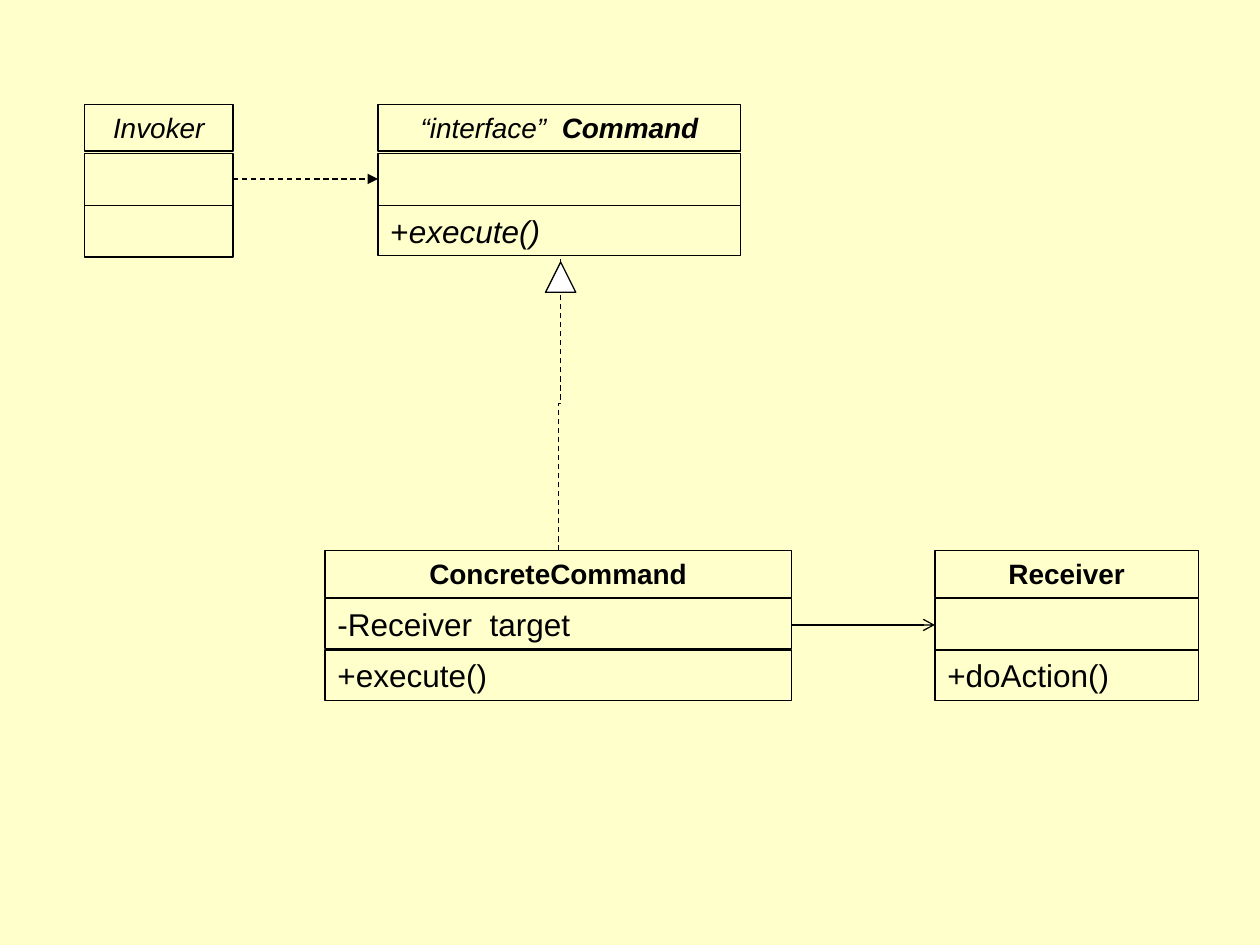
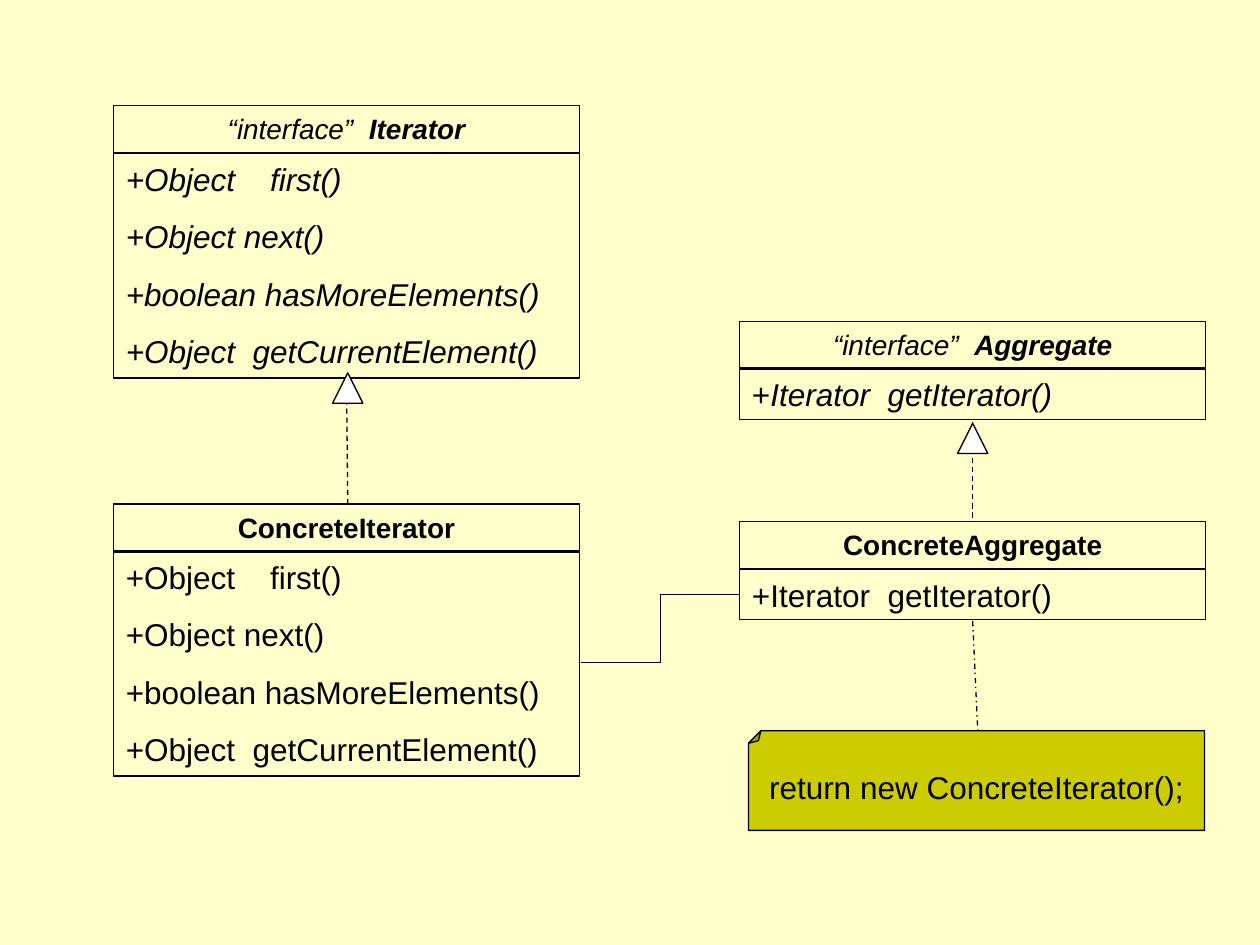
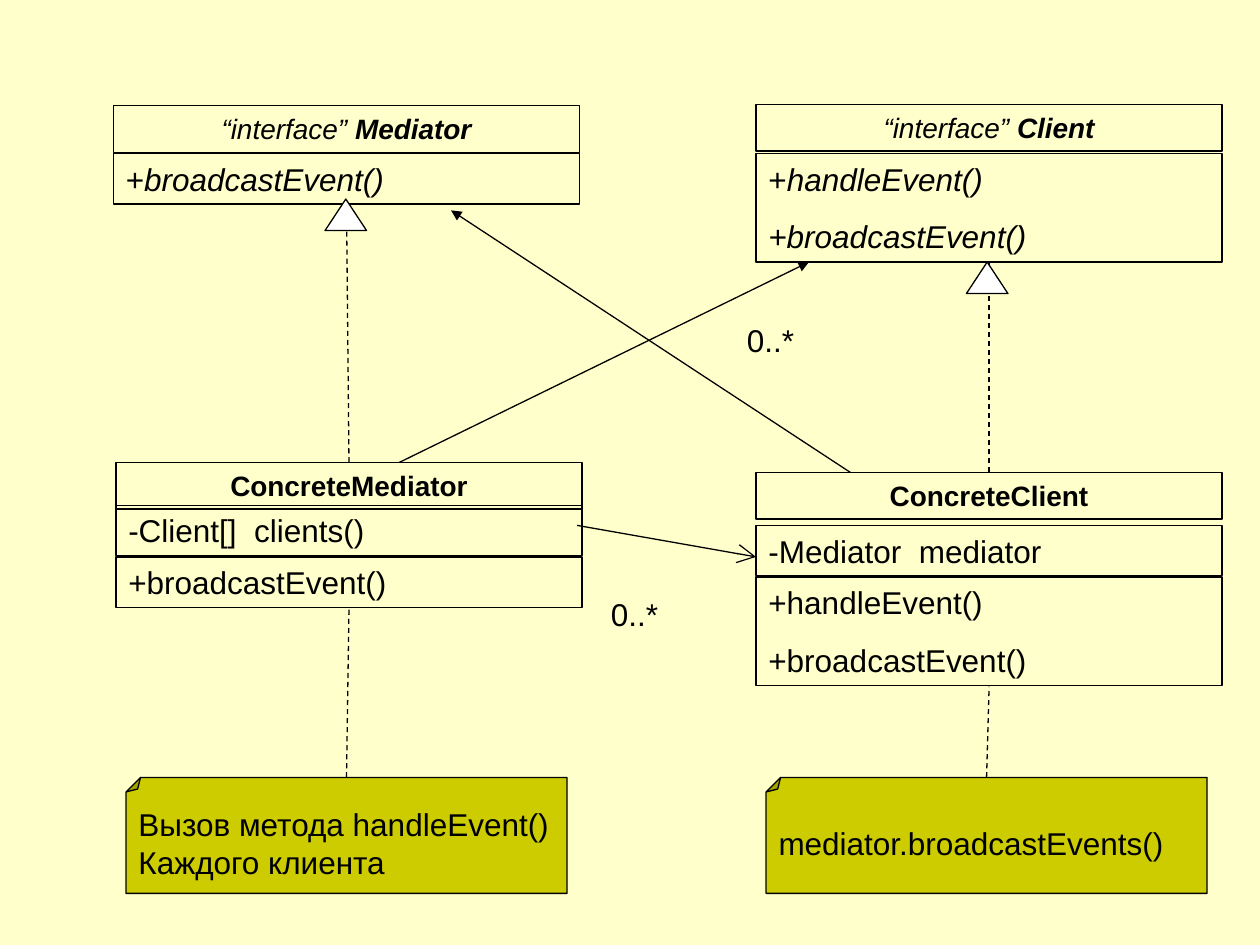
from lxml.etree import SubElement
from pptx import Presentation
from pptx.dml.color import RGBColor
from pptx.enum.dml import MSO_LINE
from pptx.enum.shapes import MSO_CONNECTOR, MSO_SHAPE
from pptx.enum.text import MSO_ANCHOR, PP_ALIGN
from pptx.oxml.ns import qn
from pptx.util import Inches, Pt

COLORS = {"page": "FFFFCC", "ink": "000000", "note": "CCCC00", "head": "FFFFFF"}
FONT = "Arial"
TITLE, BODY = 16, 18
WIDE = 3.7
TITLE_H, ROW_H, LINE_H, STEP = 0.37, 0.4, 0.46, 0.41
METHODS = ["Object    first()", "Object next()",
           "boolean hasMoreElements()", "Object  getCurrentElement()"]


def paint(name):
    return RGBColor.from_string(COLORS[name])


def ink(line):
    line.color.rgb = paint("ink")
    line.width = Pt(0.75)


def write(shape, rows, size=BODY, align=PP_ALIGN.LEFT, gap=11.2):
    """Fill a shape with rows; each row lists (text, style) with style from 'b', 'i'."""
    frame = shape.text_frame
    frame.word_wrap = True
    frame.vertical_anchor = MSO_ANCHOR.TOP
    for index, row in enumerate(rows):
        par = frame.add_paragraph() if index else frame.paragraphs[0]
        par.alignment = align
        if index:
            par.space_before = Pt(gap)
        font = par.font
        font.name, font.size, font.color.rgb = FONT, Pt(size), paint("ink")
        for text, style in row:
            run = par.add_run()
            run.text = text
            target = font if len(row) == 1 else run.font
            target.bold = "b" in style
            target.italic = "i" in style
    return frame


def plain(*lines, style=""):
    return [[(line, style)] for line in lines]


def virtual(line):
    """A row with an upright plus sign and an italic signature."""
    return [("+", ""), (line, "i")]


def face(name, gap="  "):
    return [(f"“interface”{gap}", "i"), (name, "bi")]


def block(slide, kind, left, top, width, height, fill=None):
    shape = slide.shapes.add_shape(kind, Inches(left), Inches(top),
                                   Inches(width), Inches(height))
    shape.shadow.inherit = False
    if fill:
        shape.fill.solid()
        shape.fill.fore_color.rgb = paint(fill)
    else:
        shape.fill.background()
    ink(shape.line)
    return shape


def entity(slide, left, top, width, title, *parts, drop=0.38):
    """Class box: a title, then one cell per part, the first one drop below the top."""
    rect = MSO_SHAPE.RECTANGLE
    write(block(slide, rect, left, top, width, TITLE_H), [title], TITLE, PP_ALIGN.CENTER)
    for index, rows in enumerate(parts):
        height = ROW_H + LINE_H * (len(rows) - 1) if rows else STEP
        cell = block(slide, rect, left, top + drop + STEP * index, width, height)
        if rows:
            write(cell, rows)


def note(slide, left, top, width, height, *lines, align=PP_ALIGN.LEFT):
    """Note with its folded corner at the top left and upright text."""
    shape = block(slide, MSO_SHAPE.FOLDED_CORNER, left, top, width, height, "note")
    fold = shape.element.spPr.find(qn("a:prstGeom")).get_or_add_avLst()
    SubElement(fold, qn("a:gd"), name="adj", fmla="val 12500")
    shape.rotation = 180
    frame = write(shape, plain(*lines), align=align, gap=0)
    frame.word_wrap = False
    frame.vertical_anchor = MSO_ANCHOR.MIDDLE
    shape.element.txBody.find(qn("a:bodyPr")).set("rot", "10800000")


def label(slide, left, top, text):
    box = slide.shapes.add_textbox(Inches(left), Inches(top), Inches(0.92), Inches(ROW_H))
    write(box, plain(text))


def link(slide, start, end, dash=None, tip=None, size="med", kind=MSO_CONNECTOR.STRAIGHT):
    wire = slide.shapes.add_connector(kind, *map(Inches, (*start, *end)))
    ink(wire.line)
    if dash:
        wire.line.dash_style = dash
    props = wire.element.spPr
    if tip:
        SubElement(props.find(qn("a:ln")), qn("a:tailEnd"), type=tip, w=size, len=size)
    SubElement(props, qn("a:effectLst"))
    return wire


def rise(slide, start, end, dash):
    """Elbow that leaves and arrives vertically: a flat one turned by 90 degrees."""
    mid_x, mid_y = (start[0] + end[0]) / 2, (start[1] + end[1]) / 2
    off_x, off_y = start[0] - mid_x, start[1] - mid_y
    wire = link(slide, (mid_x + off_y, mid_y - off_x), (mid_x - off_y, mid_y + off_x),
                dash, kind=MSO_CONNECTOR.ELBOW)
    wire.element.spPr.find(qn("a:xfrm")).set("rot", "5400000")


def head(slide, left, top, width=0.24, height=0.24):
    block(slide, MSO_SHAPE.ISOSCELES_TRIANGLE, left, top, width, height, "head")


def command(slide):
    entity(slide, 3, 0.83, 2.88, face("Command"), [], [virtual("execute()")], drop=0.39)
    entity(slide, 2.58, 4.37, WIDE, [("ConcreteCommand", "b")],
           plain("-Receiver  target"), plain("+execute()"))
    entity(slide, 7.42, 4.37, 2.09, [("Receiver", "b")], [], plain("+doAction()"))
    entity(slide, 0.67, 0.83, 1.18, [("Invoker", "i")], [], [], drop=0.39)
    link(slide, (1.85, 1.42), (3, 1.42), MSO_LINE.DASH, "triangle")
    rise(slide, (4.43, 4.37), (4.45, 2.04), MSO_LINE.DASH)
    link(slide, (6.28, 4.96), (7.42, 4.96), tip="arrow")
    head(slide, 4.33, 2.08)


def iterator(slide):
    signed = [f"+{name}" for name in METHODS]
    fetch = "Iterator  getIterator()"
    entity(slide, 0.9, 0.84, WIDE, face("Iterator"), plain(*signed, style="i"))
    entity(slide, 0.9, 4, WIDE, [("ConcreteIterator", "b")], plain(*signed))
    entity(slide, 5.87, 2.55, WIDE, face("Aggregate"), [virtual(fetch)])
    entity(slide, 5.87, 4.14, WIDE, [("ConcreteAggregate", "b")], plain(f"+{fetch}"))
    note(slide, 5.94, 5.8, 3.62, 0.79, "return new ConcreteIterator();",
         align=PP_ALIGN.CENTER)
    link(slide, (2.76, 4), (2.75, 2.99), MSO_LINE.DASH)
    link(slide, (7.72, 3.35), (7.72, 4.14), MSO_LINE.DASH)
    link(slide, (7.72, 4.93), (7.76, 5.8), MSO_LINE.DASH_DOT)
    head(slide, 2.64, 2.96)
    head(slide, 7.6, 3.36)
    link(slide, (4.61, 5.26), (5.87, 4.72), kind=MSO_CONNECTOR.ELBOW)


def mediator(slide):
    cast, handle = "broadcastEvent()", "handleEvent()"
    entity(slide, 0.9, 0.84, WIDE, face("Mediator", " "), [virtual(cast)])
    entity(slide, 6, 0.83, WIDE, face("Client", " "),
           [virtual(handle), [(f"+{cast}", "i")]], drop=0.39)
    entity(slide, 0.92, 3.67, WIDE, [("ConcreteMediator", "b")],
           plain("-Client[]  clients()"), plain(f"+{cast}"), drop=0.34)
    entity(slide, 6, 3.75, WIDE, [("ConcreteClient", "b")],
           plain("-Mediator  mediator"), plain(f"+{handle}", f"+{cast}"), drop=0.42)
    note(slide, 1, 6.17, 3.5, 0.92, "Вызов метода handleEvent()", "Каждого клиента")
    note(slide, 6.08, 6.17, 3.5, 0.92, "mediator.broadcastEvents()")
    for start, end in (((2.77, 3.67), (2.75, 1.63)), ((7.85, 3.75), (7.85, 2.08)),
                       ((7.83, 6.17), (7.85, 5.45)), ((2.75, 6.17), (2.77, 4.83))):
        link(slide, start, end, MSO_LINE.DASH)
    link(slide, (3.17, 3.67), (6.42, 2.08), tip="triangle")
    link(slide, (6.75, 3.75), (3.58, 1.67), tip="triangle")
    link(slide, (4.58, 4.17), (6, 4.42), tip="arrow", size="lg")
    label(slide, 5.83, 2.5, "0..*")
    label(slide, 4.75, 4.67, "0..*")
    head(slide, 2.58, 1.58, 0.33, 0.25)
    head(slide, 7.67, 2.08, 0.33, 0.25)


def main():
    deck = Presentation()
    deck.slide_width, deck.slide_height = Inches(10), Inches(7.5)
    for draw in (command, iterator, mediator):
        slide = deck.slides.add_slide(deck.slide_layouts[6])
        slide.background.fill.solid()
        slide.background.fill.fore_color.rgb = paint("page")
        draw(slide)
    deck.save("out.pptx")


if __name__ == "__main__":
    main()
